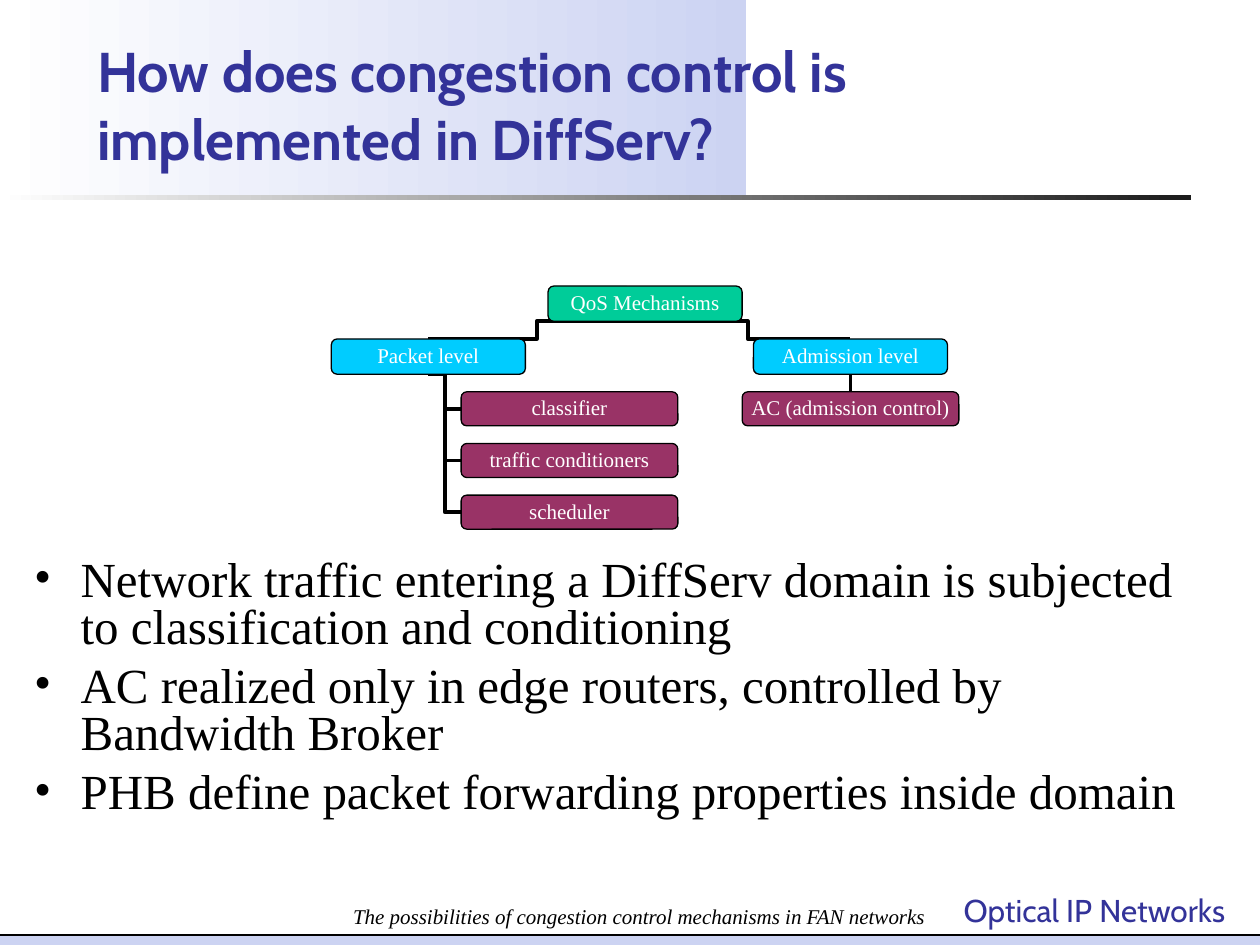
import pptx
import pptx.util
import pptx.dml.color
import pptx.enum.shapes
import pptx.enum.text
import pptx.oxml.ns
import lxml.etree

ANCHOR = pptx.enum.text.MSO_ANCHOR
ALIGN = pptx.enum.text.PP_ALIGN
SHAPE = pptx.enum.shapes.MSO_SHAPE
CONNECTOR = pptx.enum.shapes.MSO_CONNECTOR

SERIF, SANS = "Times New Roman", "Cabin"
INK, NAVY, PALE, WHITE = "000000", "333399", "CCD3F2", "FFFFFF"
GREEN, CYAN, PLUM = "00CC99", "00CCFF", "993366"
COLUMNS, ROWS = 100, 75


def colour(code):
    return pptx.dml.color.RGBColor.from_string(code)


def add_child(parent, tag, **attributes):
    return lxml.etree.SubElement(parent, pptx.oxml.ns.qn(tag), attributes)


class SlideBuilder:
    """Draws on one slide; places are (column, row, columns wide, rows high)."""

    def __init__(self, deck):
        self.column = deck.slide_width / COLUMNS
        self.row = deck.slide_height / ROWS
        self.page = deck.slides.add_slide(deck.slide_layouts[1])

    def lengths(self, *values):
        """Turn alternating column and row counts into lengths."""
        units = (self.column, self.row)
        return [round(value * units[i % 2]) for i, value in enumerate(values)]

    def format_text(self, box, size, font, ink, bold=False, italic=False,
                    align=ALIGN.LEFT, anchor=ANCHOR.TOP, spacing=1.0, wrap=True):
        frame = box.text_frame
        frame.word_wrap = wrap
        frame.auto_size = pptx.enum.text.MSO_AUTO_SIZE.NONE
        frame.vertical_anchor = anchor
        for para in frame.paragraphs:
            para.alignment = align
            para.line_spacing = spacing
            for span in para.runs:
                span.font.size = pptx.util.Pt(size)
                span.font.name = font
                span.font.bold = bold
                span.font.italic = italic
                span.font.color.rgb = colour(ink)

    def panel(self, place, fill, fade=False):
        box = self.page.shapes.add_shape(SHAPE.RECTANGLE, *self.lengths(*place))
        box.shadow.inherit = False
        box.line.fill.background()
        if fade:
            box.fill.gradient()
            box.fill.gradient_angle = 0
            for stop, code in zip(box.fill.gradient_stops, (WHITE, fill)):
                stop.color.rgb = colour(code)
        else:
            box.fill.solid()
            box.fill.fore_color.rgb = colour(fill)

    def connector(self, start, end, width=2.25):
        straight = start[0] == end[0] or start[1] == end[1]
        kind = CONNECTOR.STRAIGHT if straight else CONNECTOR.ELBOW
        line = self.page.shapes.add_connector(kind, *self.lengths(*start, *end))
        line.line.color.rgb = colour(INK)
        line.line.width = pptx.util.Pt(width)
        add_child(line._element.spPr, "a:effectLst")

    def node(self, place, text, fill):
        box = self.page.shapes.add_shape(SHAPE.ROUNDED_RECTANGLE, *self.lengths(*place))
        box.shadow.inherit = False
        box.fill.solid()
        box.fill.fore_color.rgb = colour(fill)
        box.line.color.rgb = colour(INK)
        box.line.width = pptx.util.Pt(0.75)
        frame = box.text_frame
        frame.margin_left = frame.margin_right = pptx.util.Inches(0.05)
        frame.margin_top = frame.margin_bottom = pptx.util.Inches(0.03)
        frame.text = text
        self.format_text(box, 12, SERIF, WHITE, align=ALIGN.CENTER,
                         anchor=ANCHOR.MIDDLE, spacing=0.95, wrap=False)

    def label(self, place, text, size, font, ink, **style):
        box = self.page.shapes.add_textbox(*self.lengths(*place))
        box.text_frame.text = text
        self.format_text(box, size, font, ink, **style)

    def placeholder(self, index, place, text):
        """Fill a template placeholder, place it and bring it to the front."""
        box = self.page.placeholders[index]
        box.left, box.top, box.width, box.height = self.lengths(*place)
        box.text_frame.text = text
        self.page.shapes._spTree.append(box._element)
        return box

    def title(self, place, text):
        box = self.placeholder(0, place, text)
        self.format_text(box, 32, SANS, NAVY, bold=True,
                         anchor=ANCHOR.BOTTOM, spacing=1.01)

    def bullets(self, place, items):
        box = self.placeholder(1, place, "\n".join(items))
        self.format_text(box, 28, SERIF, INK, spacing=0.8)
        indent = pptx.util.Inches(0.37)
        for para in box.text_frame.paragraphs:
            para.space_before = pptx.util.Pt(7)
            properties = para._p.get_or_add_pPr()
            properties.set("marL", str(indent))
            properties.set("indent", str(-indent))
            add_child(add_child(properties, "a:buClr"), "a:srgbClr", val=INK)
            add_child(properties, "a:buFont", typeface=SERIF)
            add_child(properties, "a:buChar", char="•")


def draw_hierarchy(slide):
    """Draw the tree of mechanisms, connectors behind the boxes."""
    wide, high = 15.4, 2.8
    leaf_wide, leaf_high, leaf_step = 17.2, 2.7, 4.1
    root_x, root_y = 51.2, 22.7
    packet_x, admission_x, level_y = 34, 67.5, 26.9
    leaf_x, leaf_y = 36.6, 31.1
    leaves = [(leaf_y + i * leaf_step, text) for i, text in
              enumerate(("classifier", "traffic conditioners", "scheduler"))]
    level_bottom = level_y + high

    slide.connector((admission_x, level_bottom), (admission_x, leaf_y))
    for top, _ in leaves:
        slide.connector((packet_x, level_bottom), (leaf_x, top + leaf_high / 2))
    for middle in (admission_x, packet_x):
        slide.connector((root_x, root_y + high), (middle, level_y))

    for middle, top, text, fill in (
            (root_x, root_y, "QoS Mechanisms", GREEN),
            (packet_x, level_y, "Packet level", CYAN),
            (admission_x, level_y, "Admission level", CYAN)):
        slide.node((middle - wide / 2, top, wide, high), text, fill)
    for top, text in leaves:
        slide.node((leaf_x, top, leaf_wide, leaf_high), text, PLUM)
    slide.node((admission_x - leaf_wide / 2, leaf_y, leaf_wide, leaf_high),
               "AC (admission control)", PLUM)


def main():
    deck = pptx.Presentation()
    deck.slide_width = pptx.util.Inches(10)
    deck.slide_height = pptx.util.Inches(7.5)
    slide = SlideBuilder(deck)

    footer_y = 74.2
    slide.panel((0, 0, 59.2, 15.8), PALE, fade=True)
    slide.panel((0, 15.5, 94.5, 0.35), "1C1C1C", fade=True)
    slide.panel((0, footer_y, COLUMNS, ROWS - footer_y), PALE)
    slide.connector((0, footer_y), (COLUMNS, footer_y), width=0.75)
    slide.label((75.5, 70.2, 25.2, 4), "Optical IP Networks", 18, SANS, NAVY, wrap=False)

    slide.title((6.7, 1.1, 77.5, 13),
                "How does congestion control is implemented in DiffServ?")
    slide.bullets((1.7, 43.9, 96.3, 26.3), (
        "Network traffic entering a DiffServ domain is subjected to "
        "classification and conditioning",
        "AC realized only in edge routers, controlled by Bandwidth Broker",
        "PHB define packet forwarding properties inside domain"))
    draw_hierarchy(slide)
    slide.label((24.8, 69.2, 51.9, 5),
                "The possibilities of congestion control mechanisms in FAN networks",
                12, SERIF, INK, italic=True, align=ALIGN.CENTER, anchor=ANCHOR.BOTTOM)
    deck.save("out.pptx")


if __name__ == "__main__":
    main()
